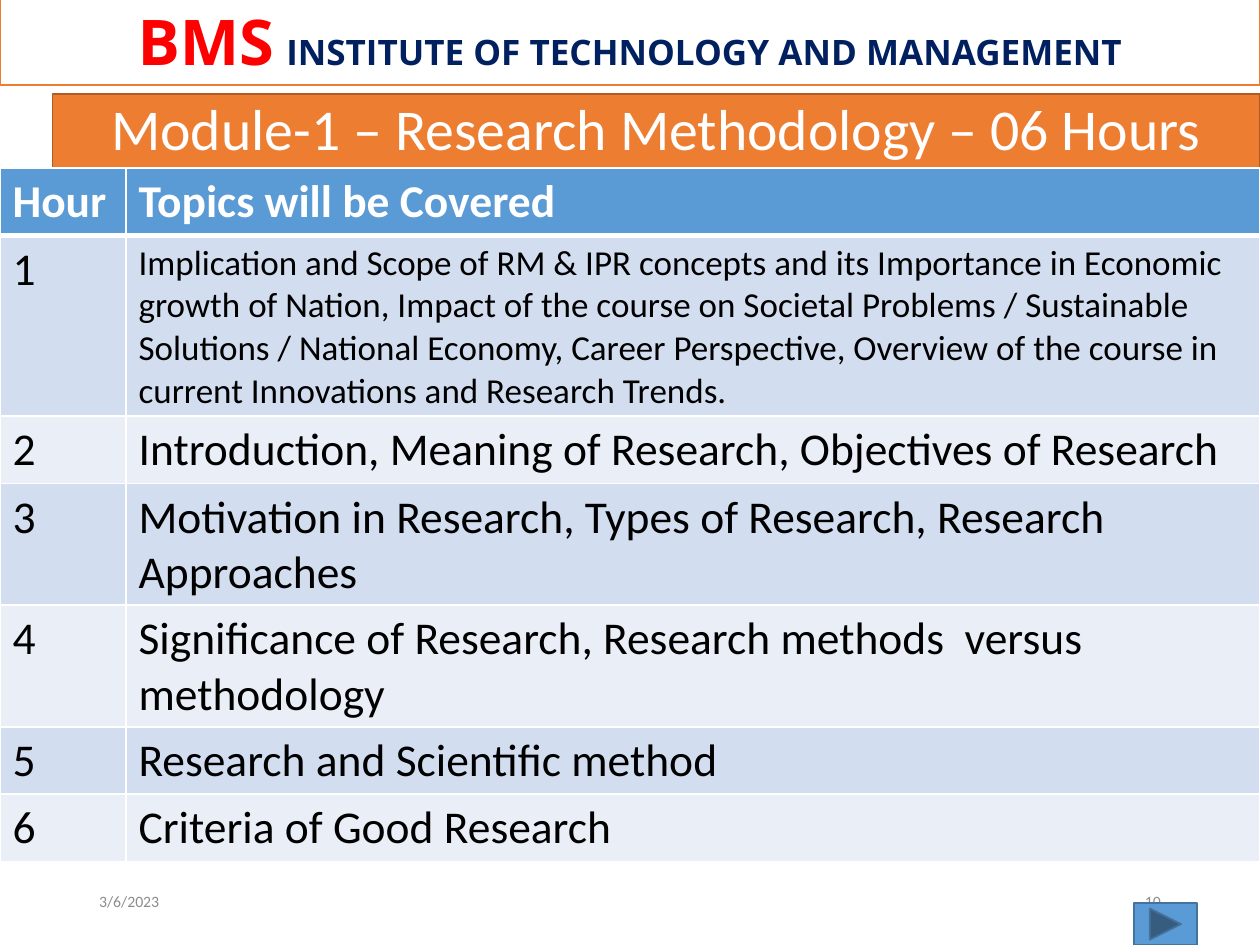
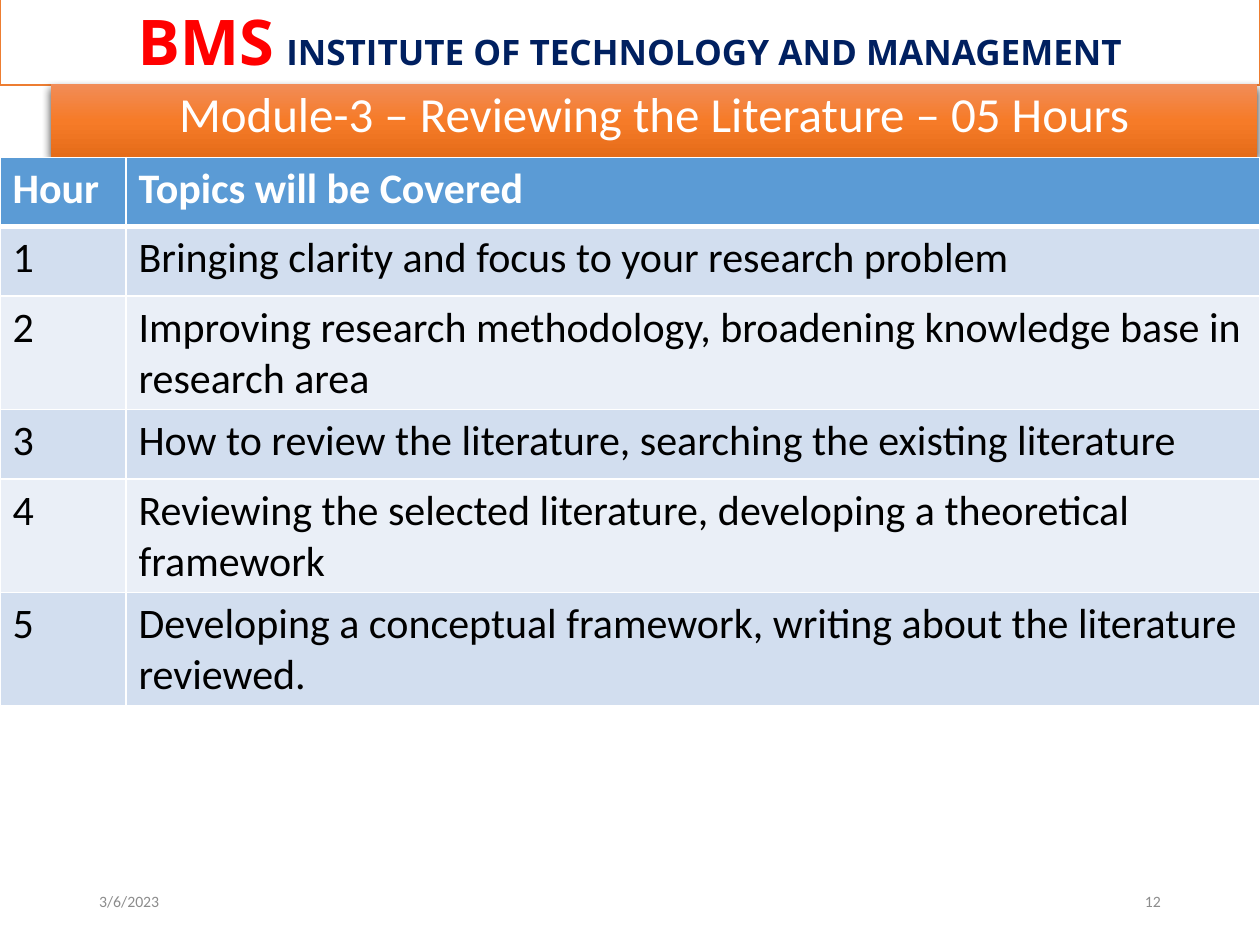
import pptx
import pptx.util
import pptx.dml.color
import pptx.enum.shapes
import pptx.enum.text
import pptx.oxml
import pptx.oxml.ns

Cm, Pt = pptx.util.Cm, pptx.util.Pt
SHAPE = pptx.enum.shapes.MSO_SHAPE
ALIGN = pptx.enum.text.PP_ALIGN
ANCHOR = pptx.enum.text.MSO_ANCHOR

# Shared look
FONT, HEAD_FONT = "Calibri", "Open Sans"
WHITE, BLACK, GREY = "FFFFFF", "000000", "8C8C8C"
RED, NAVY, ORANGE, RUST = "FF0000", "002060", "ED7D31", "AF5C24"
BLUE, EDGE, BANDS = "5B9BD5", "43739E", ("D2DEEF", "EAEFF7")
DATE = "3/6/2023"
HEADS = ("Hour", "Topics will be Covered")

# Slide content
TOPICS_1 = (
    "Implication and Scope of RM & IPR concepts and its Importance in Economic "
    "growth of Nation, Impact of the course on Societal Problems / Sustainable "
    "Solutions / National Economy, Career Perspective, Overview of the course in "
    "current Innovations and Research Trends.",
    "Introduction, Meaning of Research, Objectives of Research",
    "Motivation in Research, Types of Research, Research  Approaches",
    "Significance of Research, Research methods  versus  methodology",
    "Research and Scientific method",
    "Criteria of Good Research",
)
TOPICS_3 = (
    "Bringing clarity and focus to your research problem",
    "Improving research methodology, broadening knowledge base in research area",
    "How to review the literature, searching the existing literature",
    "Reviewing the selected literature, developing a theoretical framework",
    "Developing a conceptual framework, writing about the literature reviewed.",
)


def rgb(code):
    return pptx.dml.color.RGBColor.from_string(code)


def node(tag, attrs, inner):
    """Make a drawing element from its tag, attributes and inner markup."""
    space = pptx.oxml.ns.nsdecls("a")
    return pptx.oxml.parse_xml(f"<a:{tag} {space} {attrs}>{inner}</a:{tag}>")


def solid(code):
    return f'<a:solidFill><a:srgbClr val="{code}"/></a:solidFill>'


def style(run, size, color, bold=False, font=FONT):
    run.font.name, run.font.size, run.font.bold = font, Pt(size), bold
    run.font.color.rgb = rgb(color)


def paint(shape, fill, line):
    shape.fill.solid()
    shape.fill.fore_color.rgb = rgb(fill)
    shape.line.color.rgb = rgb(line)
    shape.line.width = Pt(1)
    shape.shadow.inherit = False


def block(slide, kind, box, fill, line):
    shape = slide.shapes.add_shape(kind, *map(Cm, box))
    paint(shape, fill, line)
    return shape


def header(slide):
    """Draw the institute band and hand it to the layout all slides use."""
    band = block(slide, SHAPE.RECTANGLE, (0, -0.08, 25.4, 1.8), WHITE, ORANGE)
    frame = band.text_frame
    frame.word_wrap = True
    frame.vertical_anchor = ANCHOR.MIDDLE
    para = frame.paragraphs[0]
    para.alignment = ALIGN.CENTER
    parts = (("BMS", 36, RED), (" ", 27, RED),
             ("INSTITUTE OF TECHNOLOGY AND MANAGEMENT", 20, NAVY))
    for text, size, color in parts:
        run = para.add_run()
        run.text = text
        style(run, size, color, True, HEAD_FONT)
    # Thin outline round the short name
    edge = node("ln", f'w="{Pt(0.83)}"', solid("5093CF"))
    para.runs[0].font._element.insert(0, edge)
    slide.slide_layout.shapes.element.append(band.element)


def title(slide, text, box, size):
    shape = slide.shapes.title
    shape.left, shape.top, shape.width, shape.height = map(Cm, box)
    frame = shape.text_frame
    frame.text = text
    frame.word_wrap = True
    frame.auto_size = pptx.enum.text.MSO_AUTO_SIZE.NONE
    frame.vertical_anchor = ANCHOR.TOP
    para = frame.paragraphs[0]
    para.alignment, para.line_spacing = ALIGN.CENTER, 0.9
    style(para.runs[0], size, WHITE)
    return shape


def glow(shape):
    """Give a shape the orange gradient and a soft shadow below."""
    stops = ((0, "F18C57"), (50, "F67B28"), (100, "E56C19"))
    marks = "".join(f'<a:gs pos="{at * 1000}"><a:srgbClr val="{code}"/></a:gs>'
                    for at, code in stops)
    fade = node("gradFill", 'rotWithShape="1"',
                f'<a:gsLst>{marks}</a:gsLst><a:lin ang="5400000" scaled="0"/>')
    shade = node("effectLst", "",
                 f'<a:outerShdw blurRad="{Pt(4.5)}" dist="{Pt(1.5)}" '
                 f'dir="5400000" rotWithShape="0"><a:srgbClr val="{BLACK}">'
                 '<a:alpha val="63000"/></a:srgbClr></a:outerShdw>')
    shape.element.spPr.extend((fade, shade))


def label(slide, text, left, align):
    box = slide.shapes.add_textbox(Cm(left), Cm(17.65), Cm(5.72), Cm(1.02))
    frame = box.text_frame
    frame.text = text
    frame.word_wrap = True
    frame.vertical_anchor = ANCHOR.MIDDLE
    frame.paragraphs[0].alignment = align
    style(frame.paragraphs[0].runs[0], 9, GREY)


def footer(slide, number):
    label(slide, DATE, 1.75, ALIGN.LEFT)
    label(slide, number, 17.93, ALIGN.RIGHT)


def cell(spot, text, row, size):
    """Fill one table cell; row 0 is the heading."""
    spot.text = text
    run = spot.text_frame.paragraphs[0].runs[0]
    style(run, size, BLACK if row else WHITE, not row)
    spot.fill.solid()
    spot.fill.fore_color.rgb = rgb(BANDS[(row - 1) % 2] if row else BLUE)
    # White rules, thicker under the heading
    widths = {"L": 1, "R": 1, "T": 3 if row == 1 else 1, "B": 1 if row else 3}
    props = spot._tc.get_or_add_tcPr()
    for at, (side, width) in enumerate(widths.items()):
        props.insert(at, node(f"ln{side}", f'w="{Pt(width)}"', solid(WHITE)))


def plan(slide, topics, top, high, size, small=()):
    """Draw the hour table; rows in small map to their own text size."""
    rows = [HEADS, *((str(i), text) for i, text in enumerate(topics, 1))]
    sizes = dict(small)
    grid = slide.shapes.add_table(len(rows), 2, 0, Cm(top), Cm(25.4),
                                  Cm(high * len(rows))).table
    grid.columns[0].width, grid.columns[1].width = Cm(2.54), Cm(22.86)
    for i, (hour, topic) in enumerate(rows):
        cell(grid.cell(i, 0), hour, i, size)
        cell(grid.cell(i, 1), topic, i, sizes.get(i, size))


def main():
    deck = pptx.Presentation()
    deck.slide_width, deck.slide_height = Cm(25.4), Cm(19.05)
    base = deck.slide_layouts[5]

    # Module 1
    slide = deck.slides.add_slide(base)
    header(slide)
    name = title(slide, "Module-1 – Research Methodology – 06 Hours",
                 (1.06, 1.9, 24.34, 2.1), 33)
    paint(name, ORANGE, RUST)
    footer(slide, "10")
    plan(slide, TOPICS_1, 3.39, 1.04, 26, {1: 20})
    block(slide, SHAPE.ACTION_BUTTON_FORWARD_OR_NEXT,
          (22.86, 18.21, 1.27, 0.84), BLUE, EDGE)

    # Module 3
    slide = deck.slides.add_slide(base)
    name = title(slide, "Module-3 – Reviewing the Literature – 05 Hours",
                 (1.02, 1.7, 24.33, 1.47), 28)
    glow(name)
    footer(slide, "12")
    plan(slide, TOPICS_3, 3.17, 1.4, 24)

    deck.save("out.pptx")


if __name__ == "__main__":
    main()
